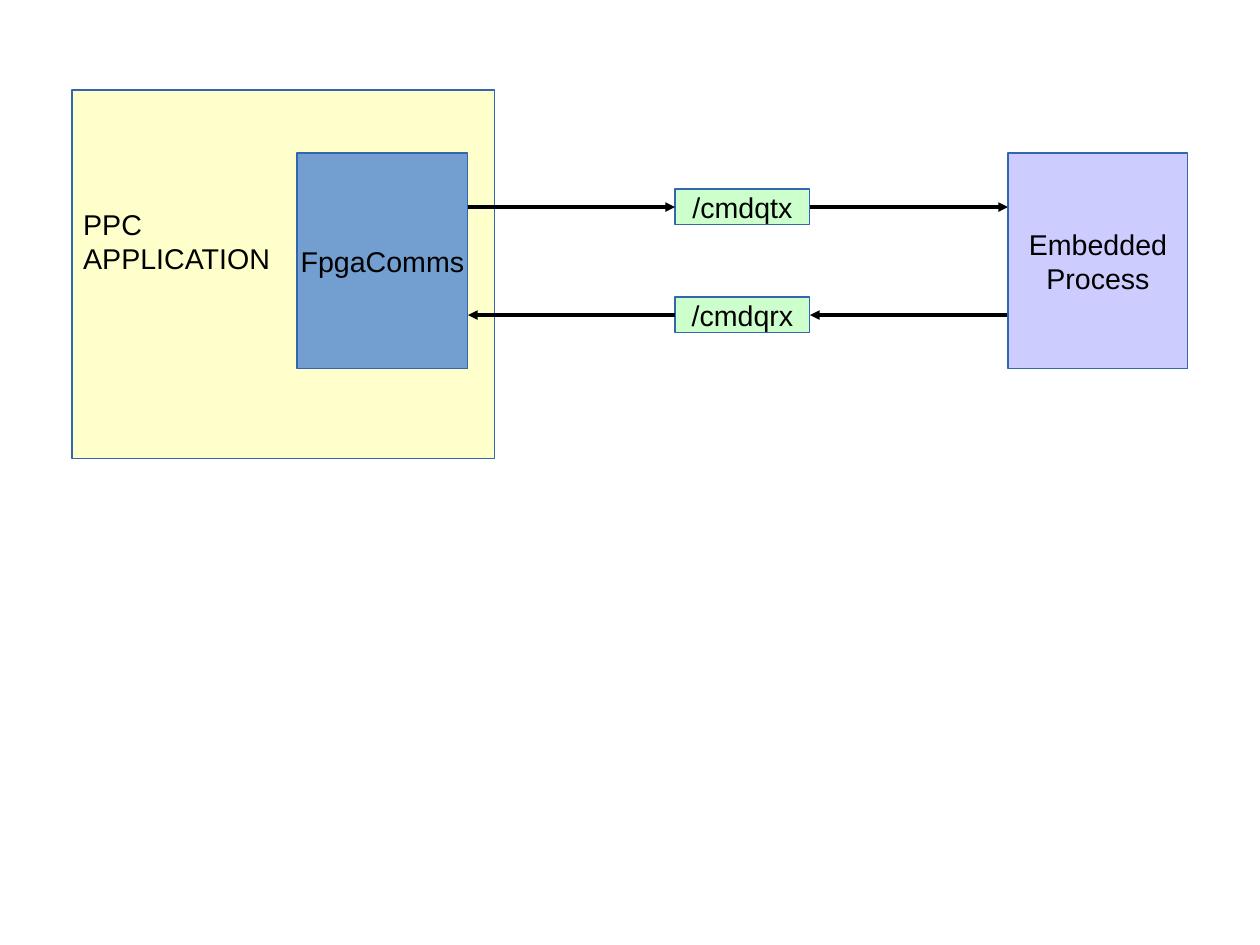
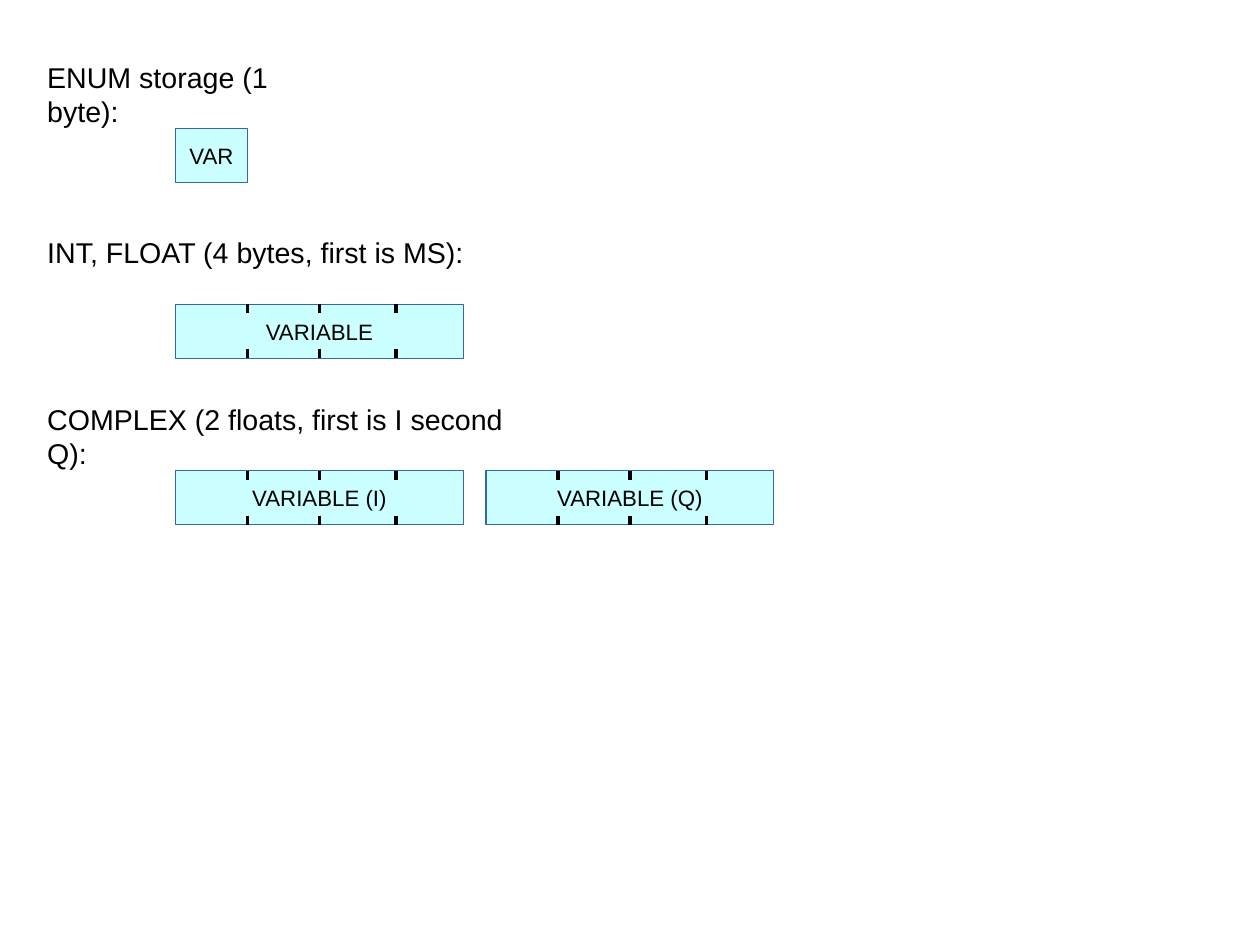
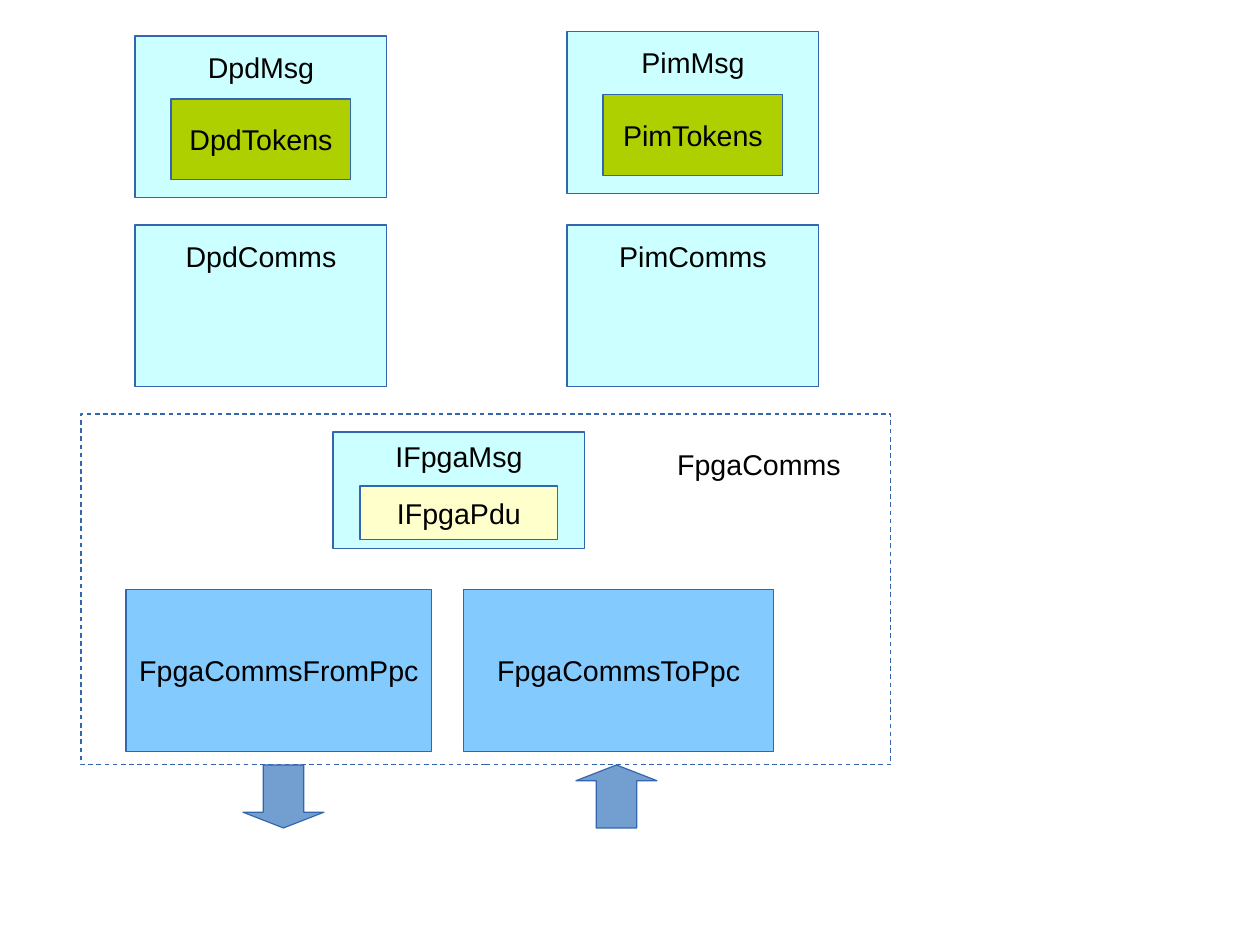
from dataclasses import dataclass

from lxml import etree
from pptx import Presentation
from pptx.dml.color import RGBColor
from pptx.enum.dml import MSO_LINE
from pptx.enum.shapes import MSO_CONNECTOR, MSO_SHAPE
from pptx.enum.text import MSO_ANCHOR, MSO_AUTO_SIZE, PP_ALIGN
from pptx.oxml.ns import qn
from pptx.util import Mm, Pt

RECTANGLE, DOWN, UP = MSO_SHAPE.RECTANGLE, MSO_SHAPE.DOWN_ARROW, MSO_SHAPE.UP_ARROW
STRAIGHT, DASH = MSO_CONNECTOR.STRAIGHT, MSO_LINE.DASH
TOP, MIDDLE = MSO_ANCHOR.TOP, MSO_ANCHOR.MIDDLE
LEFT, CENTER = PP_ALIGN.LEFT, PP_ALIGN.CENTER
FIT_TEXT = MSO_AUTO_SIZE.SHAPE_TO_FIT_TEXT

# The slide is a grid of square cells
COLUMNS, ROWS = 140, 105
CELL = Mm(2)
FONT, BODY, SMALL = "Arial", 18, 14
LABEL_HEIGHT = 4.8
COLORS = {
    "outline": "3465AF", "ink": "000000", "steel": "729FCF", "cream": "FFFFCC",
    "mint": "CCFFCC", "lilac": "CCCCFF", "aqua": "CCFFFF", "lime": "AECF00",
    "sky": "83CAFF",
}


@dataclass
class Box:
    left: float
    top: float
    width: float
    height: float

    def area(self, left, top, width, height):
        return Box(self.left + left, self.top + top, width, height)

    def lengths(self):
        return [cells(n) for n in (self.left, self.top, self.width, self.height)]


def cells(count):
    return round(count * CELL)


def color(name):
    return RGBColor.from_string(COLORS[name])


def write(shape, text, size=BODY, align=CENTER, **frame_format):
    frame = shape.text_frame
    frame.text = text
    for name, value in frame_format.items():
        setattr(frame, name, value)
    for para in frame.paragraphs:
        para.alignment = align
        font = para.font
        for name, value in {"name": FONT, "size": Pt(size)}.items():
            setattr(font, name, value)
        font.color.rgb = color("ink")


def add_block(page, box, fill=None, text="", size=BODY, kind=RECTANGLE, lead=None,
              align=CENTER):
    """Outlined shape; lead is the space above text that starts at the top."""
    shape = page.shapes.add_shape(kind, *box.lengths())
    shape.shadow.inherit = False
    if fill:
        shape.fill.solid()
        shape.fill.fore_color.rgb = color(fill)
    else:
        shape.fill.background()
    shape.line.color.rgb = color("outline")
    shape.line.width = 0
    if text:
        layout = {"word_wrap": align == LEFT, "vertical_anchor": MIDDLE}
        if lead is not None:
            layout.update(vertical_anchor=TOP, margin_top=cells(lead))
        write(shape, text, size, align, **layout)
    return shape


def add_label(page, box, text):
    label = page.shapes.add_textbox(*box.lengths())
    write(label, text, align=LEFT, word_wrap=False, auto_size=FIT_TEXT)


def add_line(page, box, start, end, arrow=False):
    points = [cells(n) for x, y in (start, end) for n in (box.left + x, box.top + y)]
    line = page.shapes.add_connector(STRAIGHT, *points)
    line.line.color.rgb = color("ink")
    line.line.width = 0
    properties = line._element.spPr
    if arrow:
        etree.SubElement(properties.find(qn("a:ln")), qn("a:tailEnd"), type="triangle")
    etree.SubElement(properties, qn("a:effectLst"))


def draw_queues(page, box):
    # Application and the two queues
    add_block(page, box.area(8, 10, 47, 41), "cream", "PPC\nAPPLICATION",
              lead=13, align=LEFT)
    send, receive = 23, 35
    for row, name in ((send, "/cmdqtx"), (receive, "/cmdqrx")):
        add_block(page, box.area(75, row - 2, 15, 4), "mint", name)
    # Stubs at the ports, then arrows between them
    for row, start, end in ((send, 52, 53), (receive, 51, 52),
                            (send, 112, 113), (receive, 111, 112)):
        add_line(page, box, (start, row), (end, row))
    for row, start, end in ((receive, 111, 90), (receive, 75, 52),
                            (send, 53, 75), (send, 90, 112)):
        add_line(page, box, (start, row), (end, row), arrow=True)
    # Both ends of the link
    add_block(page, box.area(112, 17, 20, 24), "lilac", "Embedded\nProcess")
    add_block(page, box.area(33, 17, 19, 24), "steel", "FpgaComms")


def draw_word(page, box, name):
    add_block(page, box, "aqua", name, SMALL)
    # Byte marks on words longer than one byte
    if box.width > 8:
        for column in (8, 16, 24.5):
            for row in (0, box.height - 1):
                add_line(page, box, (column, row), (column, row + 1))


def draw_storage(page, box):
    for top, heading, width, word_width, names in (
        (6, "ENUM storage (1 byte):", 35.8, 8, ["VAR"]),
        (25.5, "INT, FLOAT (4 bytes, first is MS):", 48.8, 32, ["VARIABLE"]),
        (44, "COMPLEX (2 floats, first is I second Q):", 58.4, 32,
         ["VARIABLE (I)", "VARIABLE (Q)"]),
    ):
        add_label(page, box.area(4, top, width, LABEL_HEIGHT), heading)
        for index, name in enumerate(names):
            draw_word(page, box.area(19.5 + 34.5 * index, top + 8.3, word_width, 6), name)


def draw_message(page, box, prefix):
    add_block(page, box, "aqua", prefix + "Msg", lead=1.5)
    add_block(page, box.area(4, 7, 20, 9), "lime", prefix + "Tokens")


def draw_classes(page, box):
    # Message and comms classes of each family
    for left, top, prefix in ((15, 4, "Dpd"), (63, 3.5, "Pim")):
        draw_message(page, box.area(left, top, 28, 18), prefix)
        add_block(page, box.area(left, 25, 28, 18), "aqua", prefix + "Comms", lead=1.5)
    # Shared layer in its dashed frame
    layer = box.area(9, 46, 90, 39)
    add_block(page, layer).line.dash_style = DASH
    add_label(page, layer.area(65, 3, 20.7, LABEL_HEIGHT), "FpgaComms")
    message = layer.area(28, 2, 28, 13)
    add_block(page, message, "aqua", "IFpgaMsg", lead=0.8)
    add_block(page, message.area(3, 6, 22, 6), "cream", "IFpgaPdu")
    # Directions, each with its arrow below the frame
    for left, width, name, arrow_left, kind in (
        (5, 34, "FpgaCommsFromPpc", 18, DOWN),
        (42.5, 34.5, "FpgaCommsToPpc", 55, UP),
    ):
        add_block(page, layer.area(left, 19.5, width, 18), "sky", name)
        arrow = add_block(page, layer.area(arrow_left, layer.height, 9, 7), "steel",
                          kind=kind)
        arrow.adjustments[0], arrow.adjustments[1] = 0.5, 0.25


def main():
    deck = Presentation()
    deck.slide_width, deck.slide_height = cells(COLUMNS), cells(ROWS)
    blank = deck.slide_layouts[6]
    for draw in (draw_queues, draw_storage, draw_classes):
        draw(deck.slides.add_slide(blank), Box(0, 0, COLUMNS, ROWS))
    deck.save("out.pptx")


main()
